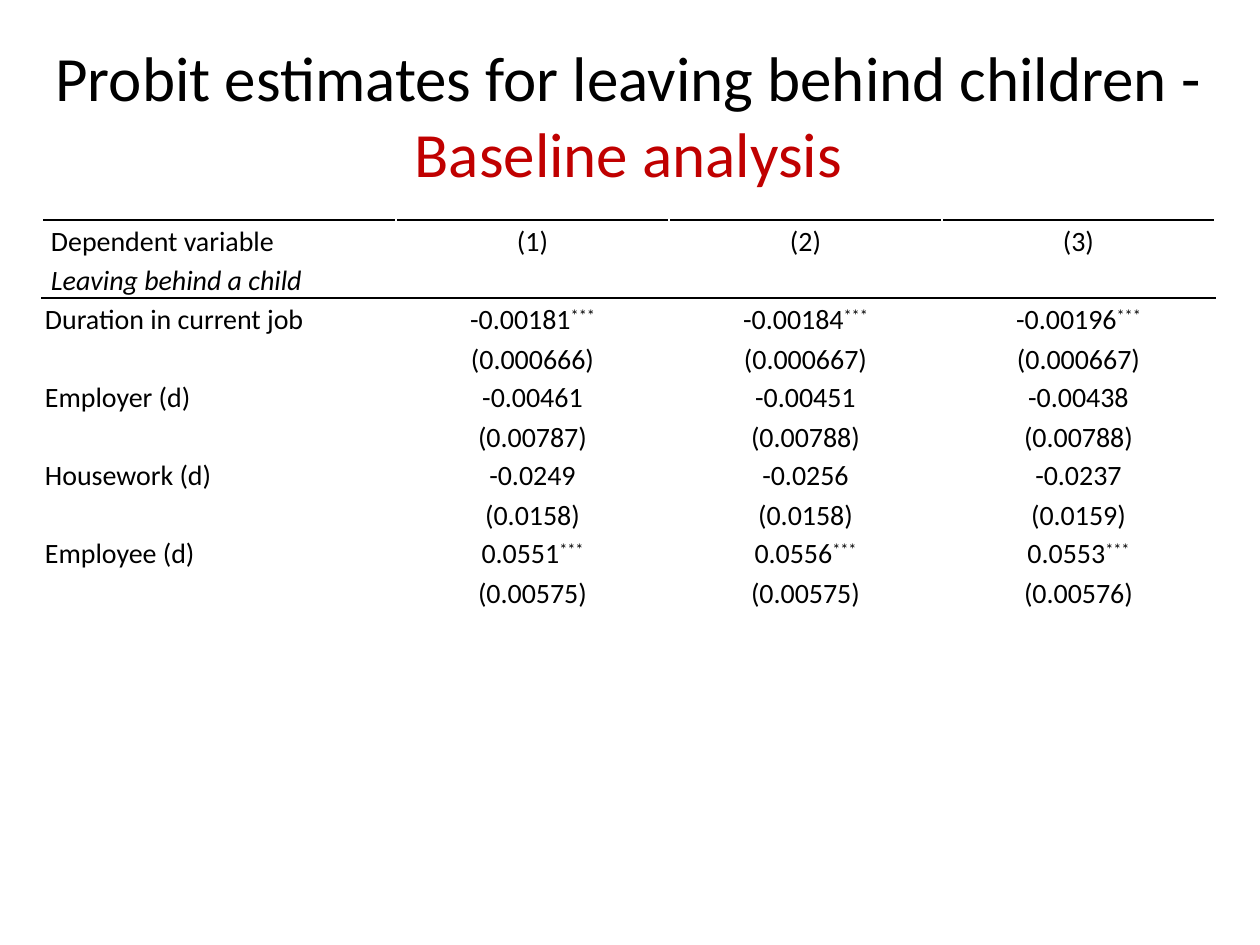
from copy import deepcopy
from dataclasses import dataclass

from lxml import etree
from pptx import Presentation
from pptx import util as u
from pptx.dml.color import RGBColor
from pptx.enum import text
from pptx.oxml.ns import qn

PX_PER_INCH = 126


def px(length):
    return u.Emu(round(length * 914400 / PX_PER_INCH))


@dataclass(frozen=True)
class Theme:
    font: str = "Calibri"
    ink: str = "000000"
    accent: str = "C00000"
    paper: str = "FFFFFF"
    title_size: int = 36
    table_size: int = 16
    line_spacing: float = 1.15
    rule_width: int = 1


class SlideBuilder:
    def __init__(self, deck, theme):
        self.theme = theme
        self.slide = deck.slides.add_slide(deck.slide_layouts[5])

    def run(self, paragraph, words, size, color=None, italic=False):
        run = paragraph.add_run()
        run.text = words
        run.font.name = self.theme.font
        run.font.size = u.Pt(size)
        run.font.italic = italic
        run.font.color.rgb = RGBColor.from_string(color or self.theme.ink)
        return run

    def title(self, left, top, width, height, pieces):
        heading = self.slide.shapes.title
        heading.left, heading.top = px(left), px(top)
        heading.width, heading.height = px(width), px(height)
        frame = heading.text_frame
        frame.word_wrap = True
        frame.auto_size = text.MSO_AUTO_SIZE.SHAPE_TO_FIT_TEXT
        frame.vertical_anchor = text.MSO_ANCHOR.MIDDLE
        paragraph = frame.paragraphs[0]
        paragraph.alignment = text.PP_ALIGN.CENTER
        for words, color in pieces:
            self.run(paragraph, words, self.theme.title_size, color)

    def table(self, left, top, widths, heights):
        grid = self.slide.shapes.add_table(
            len(heights), len(widths), px(left), px(top),
            px(sum(widths)), px(sum(heights))).table
        grid.first_row = grid.horz_banding = False
        for column, width in zip(grid.columns, widths):
            column.width = px(width)
        for row, height in zip(grid.rows, heights):
            row.height = px(height)
        return grid

    def cell(self, cell, side_margin, ruled="", centred=False):
        """Style a cell; sides named in ruled (L, R, T, B) get a dark rule."""
        cell.margin_left = cell.margin_right = px(side_margin)
        cell.margin_top = cell.margin_bottom = 0
        properties = cell._tc.get_or_add_tcPr()
        for side in "LRTB":
            line = etree.SubElement(properties, qn(f"a:ln{side}"),
                                    w=str(u.Pt(self.theme.rule_width)))
            fill = etree.SubElement(line, qn("a:solidFill"))
            color = self.theme.ink if side in ruled else self.theme.paper
            etree.SubElement(fill, qn("a:srgbClr"), val=color)
        cell.fill.solid()
        cell.fill.fore_color.rgb = RGBColor.from_string(self.theme.paper)
        paragraph = cell.text_frame.paragraphs[0]
        paragraph.line_spacing = self.theme.line_spacing
        if centred:
            paragraph.alignment = text.PP_ALIGN.CENTER
        return paragraph

    def label(self, paragraph, words, italic=False):
        self.run(paragraph, words, self.theme.table_size, italic=italic)

    def estimate(self, paragraph, coefficient, stars, error):
        """Write a coefficient with raised stars above its standard error."""
        size = self.theme.table_size
        last = self.run(paragraph, coefficient, size)
        if stars:
            last = self.run(paragraph, stars, size)
            last._r.get_or_add_rPr().set("baseline", "30000")
        line_break = paragraph._p.add_br()
        line_break.append(deepcopy(last._r.get_or_add_rPr()))
        self.run(paragraph, f"({error})", size)


MODELS = ["(1)", "(2)", "(3)"]
ESTIMATES = [
    ("Duration in current job", "***",
     [("-0.00181", "0.000666"), ("-0.00184", "0.000667"), ("-0.00196", "0.000667")]),
    ("Employer (d)", "",
     [("-0.00461", "0.00787"), ("-0.00451", "0.00788"), ("-0.00438", "0.00788")]),
    ("Housework (d)", "",
     [("-0.0249", "0.0158"), ("-0.0256", "0.0158"), ("-0.0237", "0.0159")]),
    ("Employee (d)", "***",
     [("0.0551", "0.00575"), ("0.0556", "0.00575"), ("0.0553", "0.00576")]),
]
LEFT, LABEL_WIDTH, MODEL_WIDTH, LINE = 42, 354, 273, 39
LABEL_MARGIN, MODEL_MARGIN, BODY_MARGIN = 9, 6, 3


def main():
    deck = Presentation()
    deck.slide_width, deck.slide_height = px(1260), px(945)
    theme = Theme()
    builder = SlideBuilder(deck, theme)

    widths = [LABEL_WIDTH] + [MODEL_WIDTH] * len(MODELS)
    builder.title(LEFT, 32, sum(widths), 165, [
        ("Probit estimates for leaving behind children - ", theme.ink),
        ("Baseline analysis", theme.accent)])

    heights = [LINE] * 2 + [2 * LINE] * len(ESTIMATES)
    grid = builder.table(LEFT, 220, widths, heights)

    builder.label(builder.cell(grid.cell(0, 0), LABEL_MARGIN, "T"),
                  "Dependent variable")
    builder.label(builder.cell(grid.cell(1, 0), LABEL_MARGIN, "B"),
                  "Leaving behind a child", italic=True)
    for column, model in enumerate(MODELS, 1):
        builder.label(builder.cell(grid.cell(0, column), MODEL_MARGIN, "T", True), model)
        builder.cell(grid.cell(1, column), MODEL_MARGIN, "B")

    for row, (variable, stars, results) in enumerate(ESTIMATES, 2):
        ruled = "T" if row == 2 else ""
        builder.label(builder.cell(grid.cell(row, 0), BODY_MARGIN, ruled), variable)
        for column, (coefficient, error) in enumerate(results, 1):
            paragraph = builder.cell(grid.cell(row, column), BODY_MARGIN, ruled, True)
            builder.estimate(paragraph, coefficient, stars, error)

    deck.save("out.pptx")


if __name__ == "__main__":
    main()
